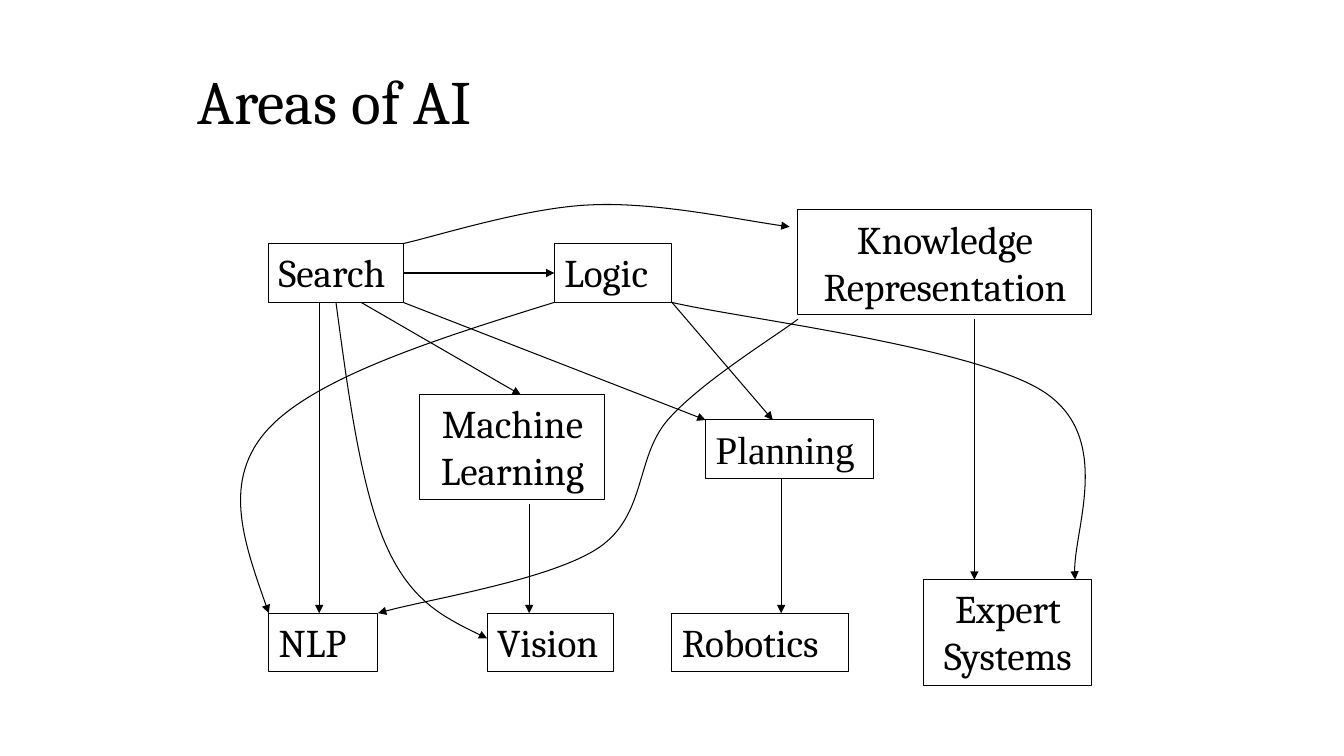
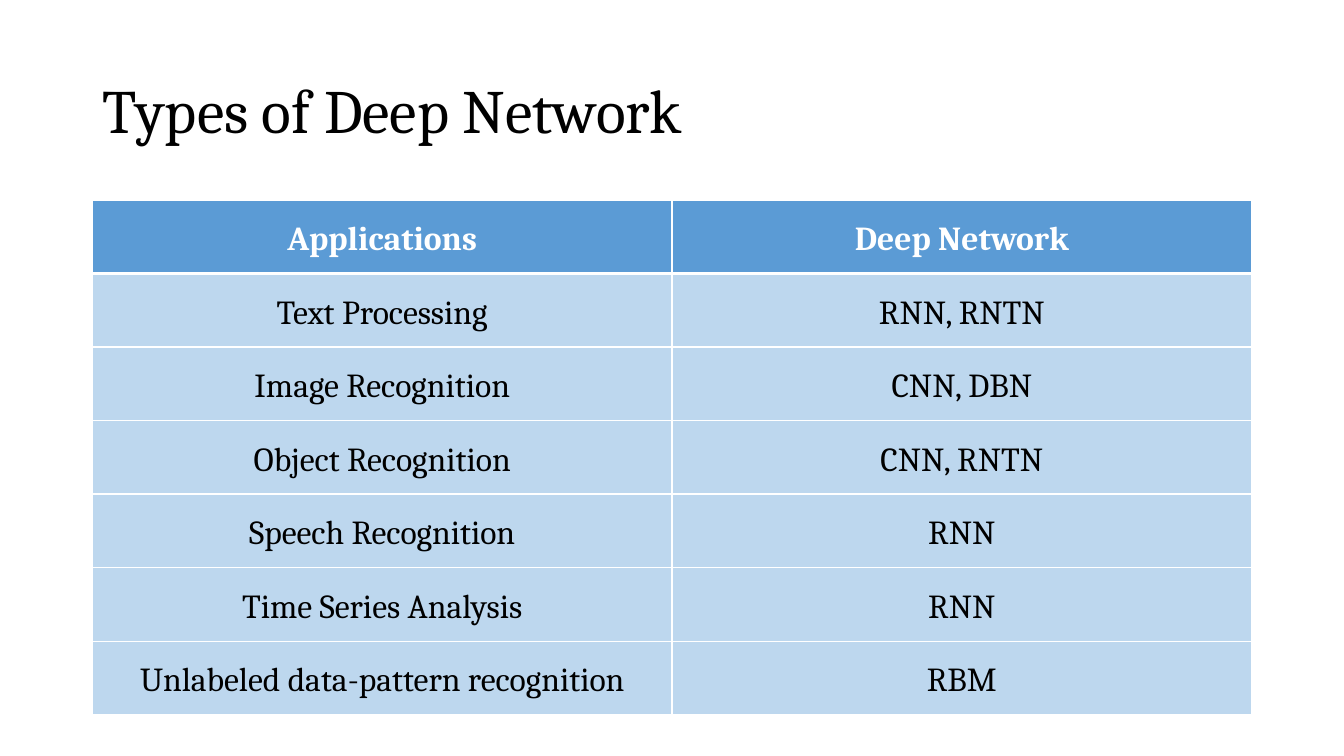
from dataclasses import dataclass

from lxml.etree import SubElement
from pptx import Presentation
from pptx.dml.color import RGBColor
from pptx.enum.shapes import MSO_CONNECTOR, MSO_SHAPE
from pptx.enum.text import MSO_ANCHOR, MSO_AUTO_SIZE, PP_ALIGN
from pptx.oxml.ns import qn
from pptx.util import Emu, Inches, Pt

BLACK = RGBColor(0x00, 0x00, 0x00)
WHITE = RGBColor(0xFF, 0xFF, 0xFF)
HEADER_BLUE = RGBColor(0x5B, 0x9B, 0xD5)
BODY_BLUE = RGBColor(0xBD, 0xD7, 0xEE)
FONT = "Cambria"

# The slide is a grid of 160 columns by 90 rows, 12 to the inch.
COLUMNS, ROWS = 160, 90
UNIT = Inches(1) // 12

Point = tuple[float, float]


@dataclass(frozen=True)
class Area:
    text: str
    col: float
    row: float
    cols: float
    rows: float = 7
    align: PP_ALIGN = PP_ALIGN.LEFT
    font: str = FONT


@dataclass(frozen=True)
class Arrow:
    start: Point
    end: Point


@dataclass(frozen=True)
class Curve:
    """A start point followed by groups of two control points and an end."""
    points: tuple[Point, ...]


CENTER = PP_ALIGN.CENTER
AREAS = [
    Area("Search", 32, 29, 16),
    Area("Vision", 58, 73, 15),
    Area("Planning", 84, 50, 20, font="Times New Roman"),
    Area("Machine Learning", 50, 47, 22, 12.5, CENTER),
    Area("Knowledge Representation", 95, 25, 35, 12.5, CENTER),
    Area("Logic", 66, 29, 14),
    Area("Expert Systems", 110, 69, 20, 12.6, CENTER),
    Area("Robotics", 80, 73, 21),
    Area("NLP", 32, 73, 13),
]
ARROWS = [
    Arrow((38, 36), (38, 73)),
    Arrow((48, 36), (84, 50)),
    Arrow((43, 36), (62, 47)),
    Arrow((80, 36), (92, 50)),
    Arrow((116, 38), (116, 69)),
    Arrow((63, 60), (63, 73)),
    Arrow((93, 57), (93, 73)),
]
CURVES = [
    Curve(((48, 29), (51.7, 28.2), (62.6, 24.7), (70.3, 24.4),
           (78, 24), (89, 26.4), (94, 27))),
    Curve(((40, 36), (41.5, 47.2), (43, 58.3), (46, 65),
           (49, 71.7), (53.5, 73.8), (58, 76))),
    Curve(((66, 36), (51.8, 40.4), (37.7, 44.9), (32, 51),
           (26.3, 57.1), (29.2, 65), (32, 73))),
    Curve(((80, 36), (87.4, 37.8), (116.5, 41.3), (124.5, 46.8),
           (132.5, 52.3), (127.3, 64.3), (128, 69))),
    Curve(((95, 38), (92.4, 40), (83.4, 45.5), (79.5, 50),
           (75.6, 54.5), (77, 61.3), (71.3, 65.2),
           (65.6, 69), (50.5, 71.4), (45, 73))),
]
NETWORKS = [
    ("Applications", "Deep Network"),
    ("Text Processing", "RNN, RNTN"),
    ("Image Recognition", "CNN, DBN"),
    ("Object Recognition", "CNN, RNTN"),
    ("Speech Recognition", "RNN"),
    ("Time Series Analysis", "RNN"),
    ("Unlabeled data-pattern recognition", "RBM"),
]


def grid(*values: float) -> list[Emu]:
    return [Emu(round(v * UNIT)) for v in values]


def write(tf, text: str, *, size: float, color=BLACK, font: str = FONT,
          bold: bool = False, align=PP_ALIGN.LEFT, spacing: float = 1.0) -> None:
    p = tf.paragraphs[0]
    p.alignment, p.line_spacing, p.space_before = align, spacing, Pt(0)
    r = p.add_run()
    r.text = text
    r.font.name, r.font.size, r.font.bold = font, Pt(size), bold
    r.font.color.rgb = color


def add_titled_slide(prs, title: str, *box: float):
    slide = prs.slides.add_slide(prs.slide_layouts[5])
    sp = slide.shapes.title
    sp.left, sp.top, sp.width, sp.height = grid(*box)
    tf = sp.text_frame
    tf.word_wrap, tf.auto_size = True, MSO_AUTO_SIZE.NONE
    tf.vertical_anchor = MSO_ANCHOR.MIDDLE
    write(tf, title, size=44, spacing=0.9)
    return slide


def outline(sp) -> None:
    sp.line.color.rgb = BLACK
    sp.line.width = Pt(0.75)


def add_arrowhead(sp) -> None:
    outline(sp)
    SubElement(sp.line._get_or_add_ln(), qn("a:tailEnd"), type="triangle")


def add_area(shapes, area: Area):
    sp = shapes.add_shape(MSO_SHAPE.RECTANGLE,
                          *grid(area.col, area.row, area.cols, area.rows))
    sp.shadow.inherit = False
    sp.fill.background()
    outline(sp)
    tf = sp.text_frame
    tf.word_wrap, tf.auto_size = True, MSO_AUTO_SIZE.SHAPE_TO_FIT_TEXT
    tf.vertical_anchor = MSO_ANCHOR.TOP
    write(tf, area.text, size=28, font=area.font, align=area.align)
    return sp


def add_arrow(shapes, arrow: Arrow):
    line = shapes.add_connector(MSO_CONNECTOR.STRAIGHT,
                                *grid(*arrow.start, *arrow.end))
    add_arrowhead(line)
    SubElement(line._element.spPr, qn("a:effectLst"))
    return line


def add_curve(shapes, curve: Curve) -> None:
    start, *rest = [grid(*point) for point in curve.points]
    builder = shapes.build_freeform(*start)
    builder.add_line_segments(rest, close=False)
    sp = builder.convert_to_shape()
    # Each three straight segments become one Bezier segment.
    outline_path = next(sp._element.iter(qn("a:path")))
    segments = outline_path.findall(qn("a:lnTo"))
    for i in range(0, len(segments), 3):
        bezier = SubElement(outline_path, qn("a:cubicBezTo"))
        for segment in segments[i:i + 3]:
            bezier.append(segment[0])
            outline_path.remove(segment)
    sp.shadow.inherit = False
    sp.fill.background()
    add_arrowhead(sp)


def add_border(cell, side: str, width: float) -> None:
    ln = SubElement(cell._tc.get_or_add_tcPr(), qn(f"a:ln{side}"),
                    w=str(Pt(width)))
    fill = SubElement(ln, qn("a:solidFill"))
    SubElement(fill, qn("a:srgbClr"), val=str(WHITE))


def format_cell(cell, text: str, is_header: bool, below_header: bool) -> None:
    widths = {"L": 1, "R": 1, "T": 3 if below_header else 1,
              "B": 3 if is_header else 1}
    for side, width in widths.items():
        add_border(cell, side, width)
    cell.fill.solid()
    cell.fill.fore_color.rgb = HEADER_BLUE if is_header else BODY_BLUE
    cell.margin_left = cell.margin_right = Inches(0.07)
    cell.margin_top = cell.margin_bottom = 0
    cell.vertical_anchor = MSO_ANCHOR.MIDDLE
    write(cell.text_frame, text, size=24, bold=is_header, align=CENTER,
          color=WHITE if is_header else BLACK, spacing=1.15)


def build_areas(prs) -> None:
    shapes = add_titled_slide(prs, "Areas of AI", 22.3, 4.8, 115.3, 15.2).shapes
    boxes = {area.text: add_area(shapes, area) for area in AREAS}
    for arrow in ARROWS:
        add_arrow(shapes, arrow)
    for curve in CURVES:
        add_curve(shapes, curve)
    search_to_logic = add_arrow(shapes, Arrow((48, 32.5), (66, 32.5)))
    search_to_logic.begin_connect(boxes["Search"], 3)
    search_to_logic.end_connect(boxes["Logic"], 1)


def build_networks(prs) -> None:
    slide = add_titled_slide(prs, "Types of Deep Network", 11, 4.8, 138, 17.4)
    table = slide.shapes.add_table(len(NETWORKS), len(NETWORKS[0]),
                                   *grid(11, 23.8, 138, 61.3)).table
    table.horz_banding = False
    for i, texts in enumerate(NETWORKS):
        for j, text in enumerate(texts):
            format_cell(table.cell(i, j), text, i == 0, i == 1)


def main() -> None:
    prs = Presentation()
    prs.slide_width, prs.slide_height = grid(COLUMNS, ROWS)
    build_areas(prs)
    build_networks(prs)
    prs.save("out.pptx")


if __name__ == "__main__":
    main()
